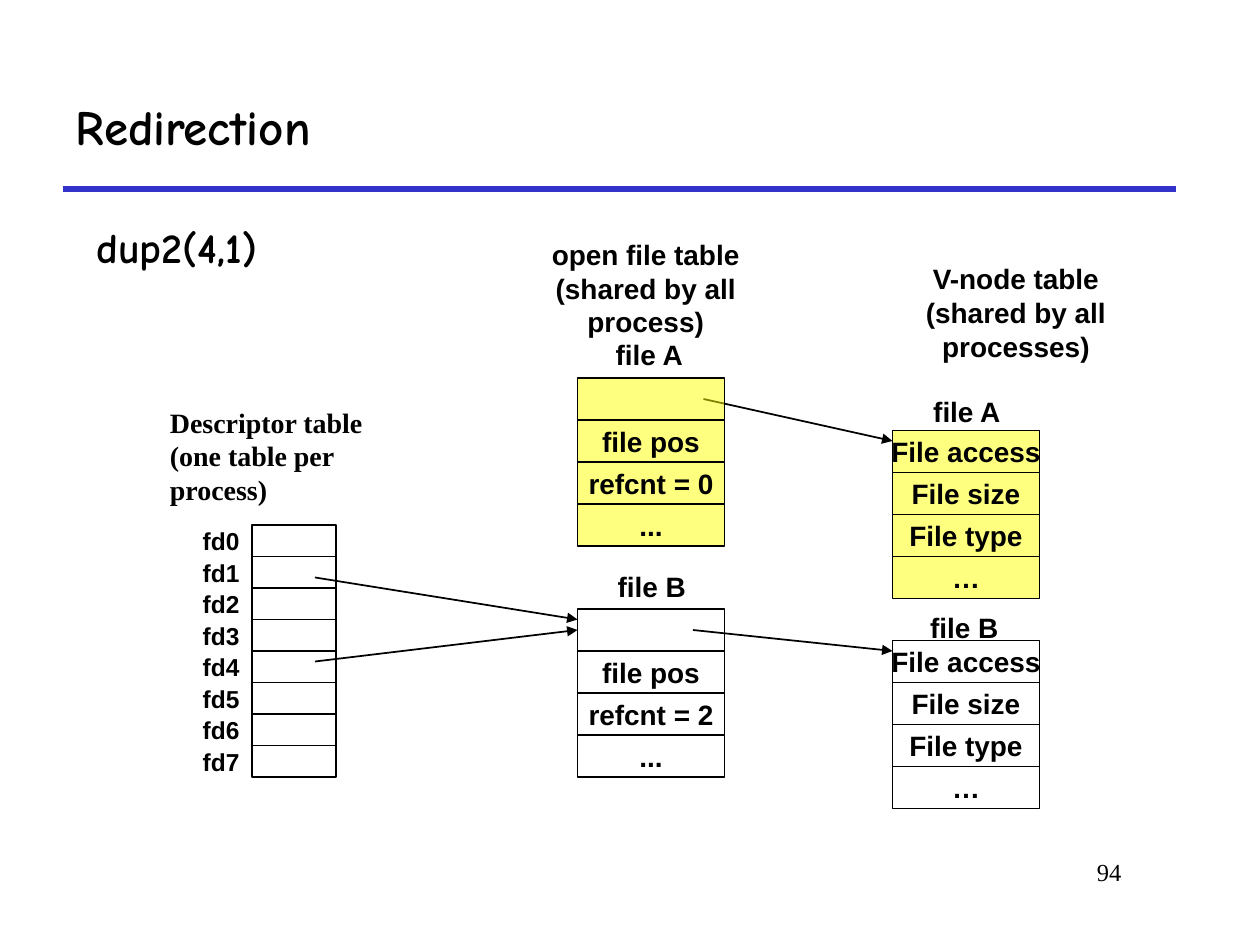
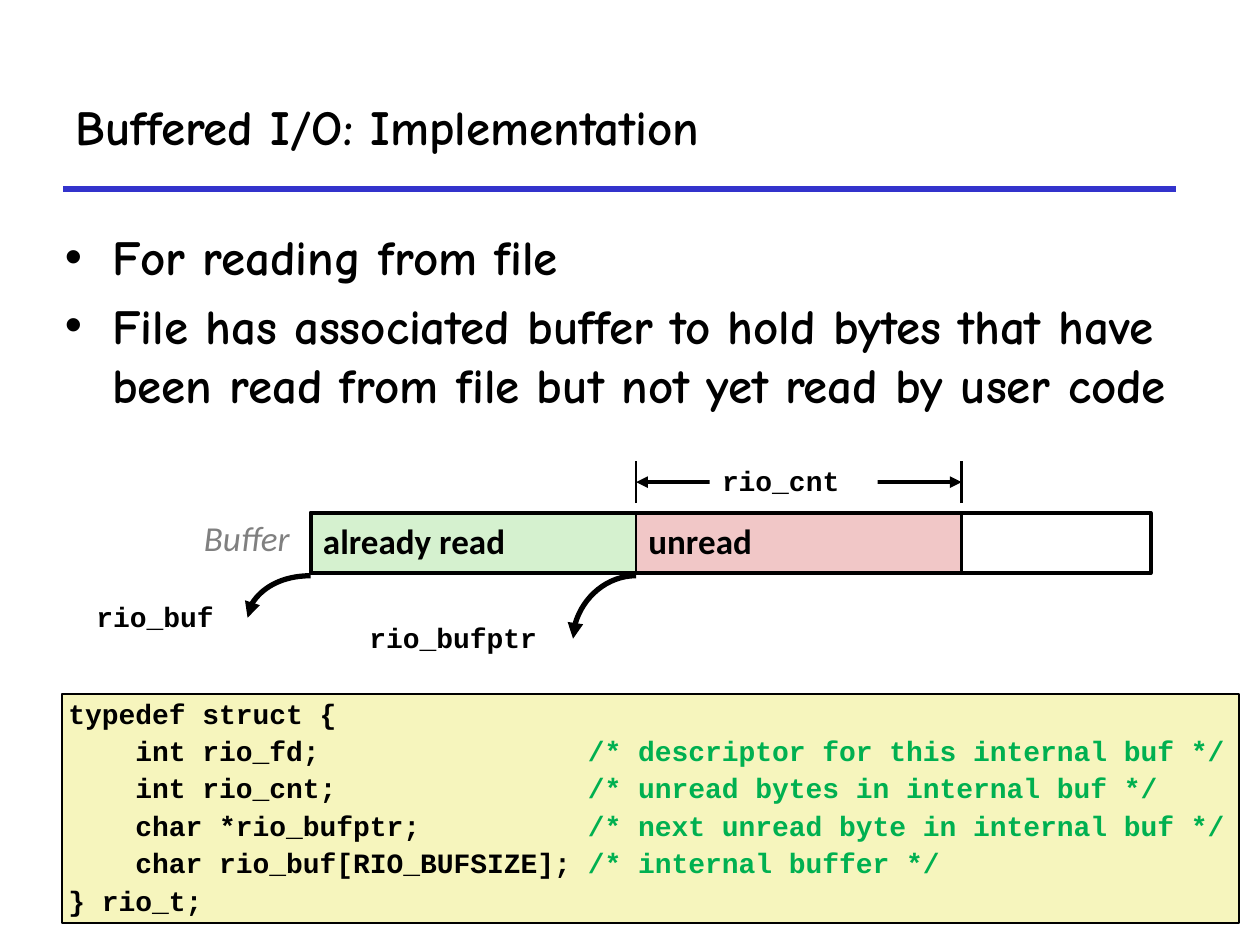
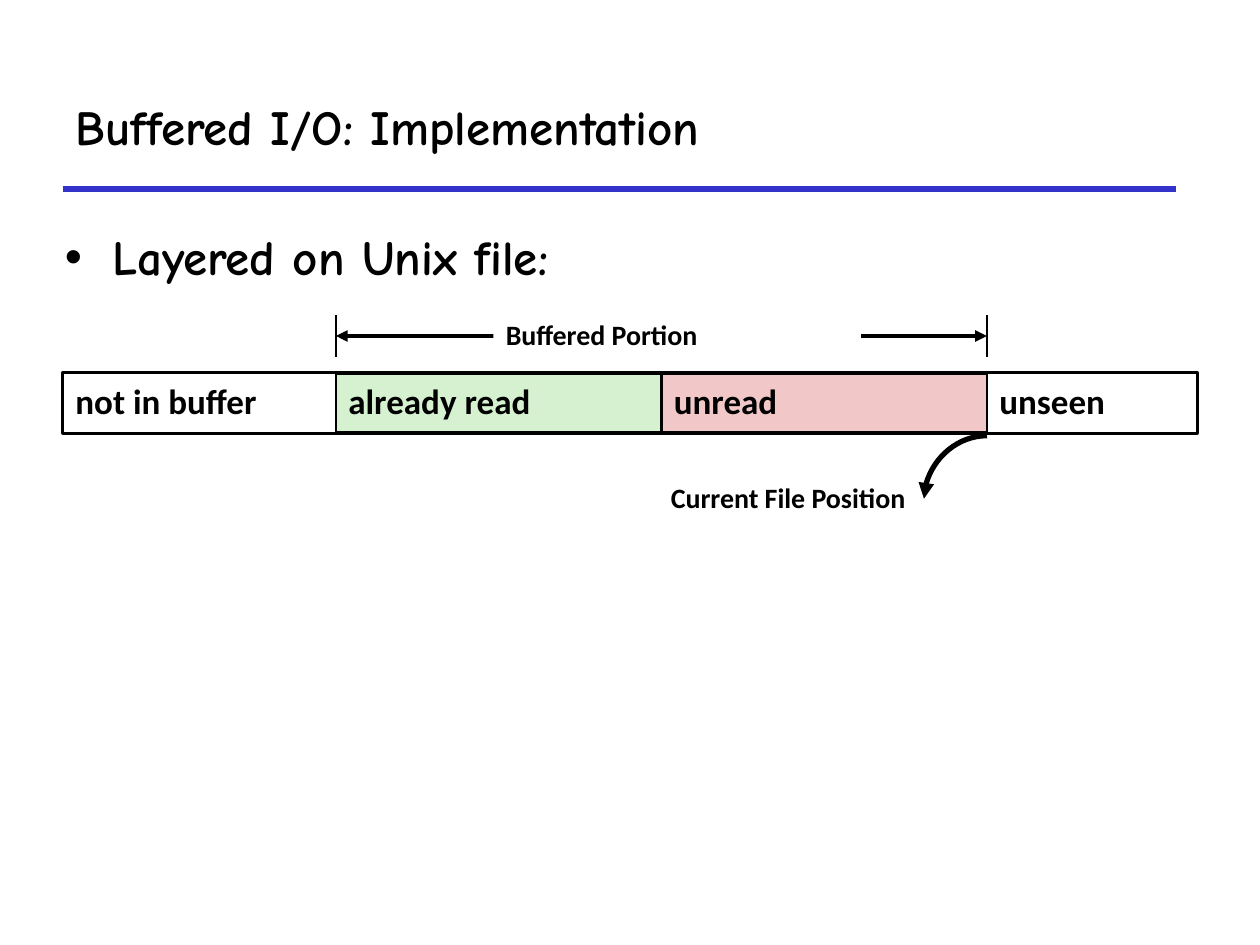
"""Builds three slides on file redirection and buffered I/O."""
from dataclasses import dataclass
from typing import NamedTuple, Optional, Sequence

from lxml.etree import SubElement
from pptx import Presentation
from pptx.dml.color import RGBColor
from pptx.enum.shapes import MSO_CONNECTOR as CONN, MSO_SHAPE as SHAPE
from pptx.enum.text import MSO_ANCHOR as ANCHOR, MSO_AUTO_SIZE as FIT, PP_ALIGN as ALIGN
from pptx.oxml.ns import qn
from pptx.util import Pt


class Style(NamedTuple):
    """Font of a run."""
    font: str
    size: float
    bold: bool = True
    italic: bool = False
    color: str = "000000"


@dataclass(frozen=True)
class Theme:
    """Colours and type styles of the deck."""
    ink: str = "000000"
    rule: str = "3333CC"
    paper: str = "FFFFFF"
    closed: str = "FFFF00"
    read: str = "D5F1CF"
    unread: str = "F1C7C7"
    code_fill: str = "F6F5BD"
    title: Style = Style("Comic Neue", 28)
    call: Style = Style("Comic Neue", 24)
    label: Style = Style("Arial", 16)
    descriptor: Style = Style("Arial", 14)
    caption: Style = Style("Times New Roman", 16)
    number: Style = Style("Times New Roman", 14, False)
    segment: Style = Style("Calibri", 20)
    buffer: Style = Style("Calibri", 20, False, True, "808080")
    note: Style = Style("Calibri", 16)
    code: Style = Style("Courier New", 16)
    comment: Style = Style("Courier New", 16, color="00B050")


T = Theme()


class Box(NamedTuple):
    """Position and size in points."""
    x: float
    y: float
    w: float
    h: float

    def emu(self) -> list:
        """Return the box as lengths."""
        return [Pt(v) for v in self]


class Run(NamedTuple):
    """Piece of text in one style."""
    text: str
    style: Style


@dataclass(frozen=True)
class Format:
    """Paragraph and frame settings of a text."""
    align: ALIGN = ALIGN.LEFT
    anchor: ANCHOR = ANCHOR.TOP
    wrap: bool = True
    grow: bool = True
    spacing: Optional[float] = None
    gap: float = 0
    bullet: bool = False
    inset: Optional[float] = None


CENTERED = Format(ALIGN.CENTER, ANCHOR.MIDDLE)
HEADING = Format(ALIGN.CENTER, ANCHOR.MIDDLE, wrap=False)
CELL = Format(ALIGN.CENTER, ANCHOR.MIDDLE, wrap=False, grow=False)
DESCRIPTOR = Format(ALIGN.RIGHT, ANCHOR.MIDDLE, wrap=False, grow=False)
SEGMENT = Format(anchor=ANCHOR.MIDDLE, wrap=False, grow=False, spacing=0.9)
TIGHT = Format(spacing=0.9)
TIGHT_LINE = Format(wrap=False, spacing=0.9)
TIGHT_RIGHT = Format(ALIGN.RIGHT, spacing=0.9)
CODE = Format(spacing=0.9, gap=4.1, inset=3.6)
BULLETS = Format(grow=False, gap=5.6, bullet=True)


@dataclass(frozen=True)
class Record:
    """Stack of named fields in a file table."""
    title: str
    title_at: Box
    x: float
    y: float
    fields: Sequence[str]
    fill: Optional[str] = None


class Segment(NamedTuple):
    """Part of a buffer strip."""
    text: str
    x: float
    w: float
    fill: str


def one(text: str, style: Style) -> list[list[Run]]:
    """Return a single paragraph of a single run."""
    return [[Run(text, style)]]


def write(tf, paragraphs: Sequence[Sequence[Run]], fmt: Format) -> None:
    """Fill a text frame run by run."""
    tf.word_wrap = fmt.wrap
    tf.auto_size = FIT.SHAPE_TO_FIT_TEXT if fmt.grow else FIT.NONE
    tf.vertical_anchor = fmt.anchor
    if fmt.inset is not None:
        tf.margin_left = tf.margin_right = tf.margin_top = tf.margin_bottom = Pt(fmt.inset)
    for i, runs in enumerate(paragraphs):
        p = tf.add_paragraph() if i else tf.paragraphs[0]
        p.alignment = fmt.align
        if fmt.spacing:
            p.line_spacing = fmt.spacing
        if i and fmt.gap:
            p.space_before = Pt(fmt.gap)
        if fmt.bullet:
            props = p._p.get_or_add_pPr()
            props.set("marL", str(Pt(27)))
            props.set("indent", str(-Pt(27)))
            SubElement(props, qn("a:buFont"), typeface="Arial")
            SubElement(props, qn("a:buChar"), char="•")
        for text, style in runs:
            r = p.add_run()
            r.text = text
            r.font.name, r.font.size = style.font, Pt(style.size)
            r.font.bold, r.font.italic = style.bold, style.italic
            r.font.color.rgb = RGBColor.from_string(style.color)


def add_text(s, box: Box, paragraphs: Sequence[Sequence[Run]], fmt: Format) -> None:
    """Add a text box."""
    write(s.shapes.add_textbox(*box.emu()).text_frame, paragraphs, fmt)


def set_line(line, width: float, color: str = T.ink, ends: Sequence[str] = ()) -> None:
    """Set a line's colour, width and arrowheads."""
    line.color.rgb = RGBColor.from_string(color)
    line.width = Pt(width)
    for end in ends:
        SubElement(line._get_or_add_ln(), qn(f"a:{end}"), type="triangle")


def add_rect(s, box: Box, fill: Optional[str] = None, width: float = 1, alpha: int = 100):
    """Add a rectangle; a zero width leaves out its outline."""
    sp = s.shapes.add_shape(SHAPE.RECTANGLE, *box.emu())
    sp.shadow.inherit = False
    if fill:
        sp.fill.solid()
        sp.fill.fore_color.rgb = RGBColor.from_string(fill)
        if alpha < 100:
            color = sp.element.xpath("./p:spPr/a:solidFill/a:srgbClr")[0]
            SubElement(color, qn("a:alpha"), val=str(alpha * 1000))
    else:
        sp.fill.background()
    if width:
        set_line(sp.line, width)
    else:
        sp.line.fill.background()
    return sp


def add_line(s, x1: float, y1: float, x2: float, y2: float, width: float = 1,
             color: str = T.ink, ends: Sequence[str] = ()):
    """Add a straight connector."""
    line = s.shapes.add_connector(CONN.STRAIGHT, Pt(x1), Pt(y1), Pt(x2), Pt(y2))
    set_line(line.line, width, color, ends)
    SubElement(line.element.spPr, qn("a:effectLst"))
    return line


def add_pointer(s, x: float, y: float, w: float, h: float) -> None:
    """Add a curved arrow that leaves (x, y) and drops to the lower left."""
    bend = 0.45
    builder = s.shapes.build_freeform(Pt(x - w), Pt(y + h))
    builder.add_line_segments([(Pt(x - w), Pt(y + bend * h)),
                               (Pt(x - bend * w), Pt(y)), (Pt(x), Pt(y))], close=False)
    sp = builder.convert_to_shape()
    sp.shadow.inherit = False
    sp.fill.background()
    set_line(sp.line, 3, ends=["headEnd"])
    steps = sp.element.xpath(".//a:lnTo")
    outline = steps[0].getparent()
    curve = SubElement(outline, qn("a:cubicBezTo"))
    for step in steps:
        curve.append(step[0])
        outline.remove(step)


def add_record(s, record: Record) -> list:
    """Add a titled stack of fields and return its rectangles."""
    cells = []
    for i, field in enumerate(record.fields):
        cell = add_rect(s, Box(record.x, record.y + 24 * i, 84, 24), record.fill, alpha=50)
        if field:
            write(cell.text_frame, one(field, T.label), CELL)
        cells.append(cell)
    add_text(s, record.title_at, one(record.title, T.label), HEADING)
    return cells


def add_segments(s, y: float, segments: Sequence[Segment]) -> None:
    """Add the labelled parts of a buffer strip."""
    for seg in segments:
        sp = add_rect(s, Box(seg.x, y, seg.w, 34.5), seg.fill, 1.5)
        write(sp.text_frame, one(seg.text, T.segment), SEGMENT)


def add_span(s, x1: float, x2: float, y: float, label: Run, x: float, w: float) -> None:
    """Add a labelled dimension arrow between two ticks."""
    for tick in (x1, x2):
        add_line(s, tick, y + 24, tick, y, 1.5)
    add_line(s, x1, y + 12, x2, y + 12, 2.25, ends=["headEnd", "tailEnd"])
    sp = add_rect(s, Box(x, y, w, 24.5), T.paper, 0)
    write(sp.text_frame, [[label]], TIGHT)


def new_slide(prs, title: str, bullets: Sequence[str] = ()):
    """Add a slide with its title and bullets."""
    s = prs.slides.add_slide(prs.slide_layouts[5])
    sp = s.shapes.title
    sp.left, sp.top, sp.width, sp.height = Box(36, 36, 636, 72).emu()
    write(sp.text_frame, one(title, T.title), Format(anchor=ANCHOR.MIDDLE, grow=False))
    if bullets:
        add_text(s, Box(30, 126, 654.5, 312), [[Run(b, T.title)] for b in bullets], BULLETS)
    return s


def redirection(prs) -> None:
    """Build the slide on descriptor redirection."""
    s = new_slide(prs, "Redirection")
    add_text(s, Box(48, 126, 127, 34), one("dup2(4,1)", T.call), TIGHT_LINE)
    add_text(s, Box(546, 486, 102, 36), one("94", T.number), Format(ALIGN.RIGHT, grow=False))
    add_text(s, Box(90, 228, 126, 65),
             one("Descriptor table (one table per process)", T.caption), Format())
    for box, lines in (
            (Box(282, 132, 174, 65), ("open file table", "(shared by all process)")),
            (Box(513, 146, 135, 65), ("V-node table", "(shared by all processes)"))):
        add_text(s, box, [[Run(line, T.label)] for line in lines], CENTERED)
    for i in range(8):
        y = 300 + 18 * i
        add_rect(s, Box(144, y, 48, 18))
        add_text(s, Box(96, y, 48, 18), one(f"fd{i}", T.descriptor), DESCRIPTOR)
    for ends in ((402, 228, 510, 252), (180, 330, 330, 354), (396, 360, 510, 372)):
        add_line(s, *ends, ends=["tailEnd"])
    node = ("File access", "File size", "File type", "…")
    for record in (
            Record("file A", Box(344, 189.5, 54, 26.5), 330, 216,
                   ("", "file pos", "refcnt = 0", "..."), T.closed),
            Record("file A", Box(525.5, 222, 54, 26.5), 510, 246, node, T.closed),
            Record("file B", Box(524, 345.5, 54, 26.5), 510, 366, node)):
        add_record(s, record)
    open_b = add_record(s, Record("file B", Box(345.5, 322, 54, 26.5), 330, 348,
                                  ("", "file pos", "refcnt = 2", "...")))
    arrow = add_line(s, 180, 378, 330, 360, ends=["tailEnd"])
    arrow.end_connect(open_b[0], 1)


def buffer_layout(prs) -> None:
    """Build the slide on the read buffer and its struct."""
    s = new_slide(prs, "Buffered I/O: Implementation", (
        "For reading from file",
        "File has associated buffer to hold bytes that have been read from file "
        "but not yet read by user code"))
    start, width, y = 177.5, 186, 293
    middle, end = start + width, start + 2 * width
    add_segments(s, y, (Segment("unread", middle, width, T.unread),
                        Segment("already read", start, width, T.read)))
    add_rect(s, Box(start, y, 480, 34.5), width=2.25)
    add_text(s, Box(109.5, 294.5, 67, 31.5), one("Buffer", T.buffer), TIGHT_LINE)
    add_pointer(s, start, 329, 36, 24)
    add_pointer(s, middle, 329, 36, 36)
    add_text(s, Box(48, 341, 82, 24.5), one("rio_buf", T.code), TIGHT)
    add_text(s, Box(204, 353.5, 126, 24.5), one("rio_bufptr", T.code), TIGHT)
    add_span(s, middle, end, 263.5, Run("rio_cnt", T.code), 405.5, 96)
    fields = (("int rio_fd;", "/* descriptor for this internal buf */"),
              ("int rio_cnt;", "/* unread bytes in internal buf */"),
              ("char *rio_bufptr;", "/* next unread byte in internal buf */"),
              ("char rio_buf[RIO_BUFSIZE];", "/* internal buffer */"))
    struct = one("typedef struct {", T.code)
    struct += [[Run(f"    {field:<27}", T.code), Run(comment, T.comment)]
               for field, comment in fields]
    struct += one("} rio_t;", T.code)
    write(add_rect(s, Box(35.5, 396.5, 672.5, 131), T.code_fill).text_frame, struct, CODE)


def file_layout(prs) -> None:
    """Build the slide on the buffered portion of a file."""
    s = new_slide(prs, "Buffered I/O: Implementation", ("Layered on Unix file:",))
    y = 213
    add_segments(s, y, (Segment("unread", 378, 186, T.unread),
                        Segment("already read", 192, 186, T.read)))
    add_rect(s, Box(36, y, 648, 34.5), width=2.25)
    add_segments(s, y, (Segment("not in buffer", 36, 156, T.paper),
                        Segment("unseen", 564, 120, T.paper)))
    add_pointer(s, 564, 249, 36, 36)
    add_text(s, Box(320.5, 273.5, 204, 26.5), one("Current File Position", T.note), TIGHT_RIGHT)
    add_span(s, 192, 564, 180, Run("Buffered Portion", T.note), 282, 210)


def main() -> None:
    """Build and save the deck."""
    prs = Presentation()
    prs.slide_width, prs.slide_height = Pt(720), Pt(540)
    for build in (redirection, buffer_layout, file_layout):
        build(prs)
    rule = add_line(prs.slides[0], 36, 108, 672, 108, 3, T.rule)
    prs.slide_layouts[5].shapes.element.append(rule.element)
    prs.save("out.pptx")


if __name__ == "__main__":
    main()
